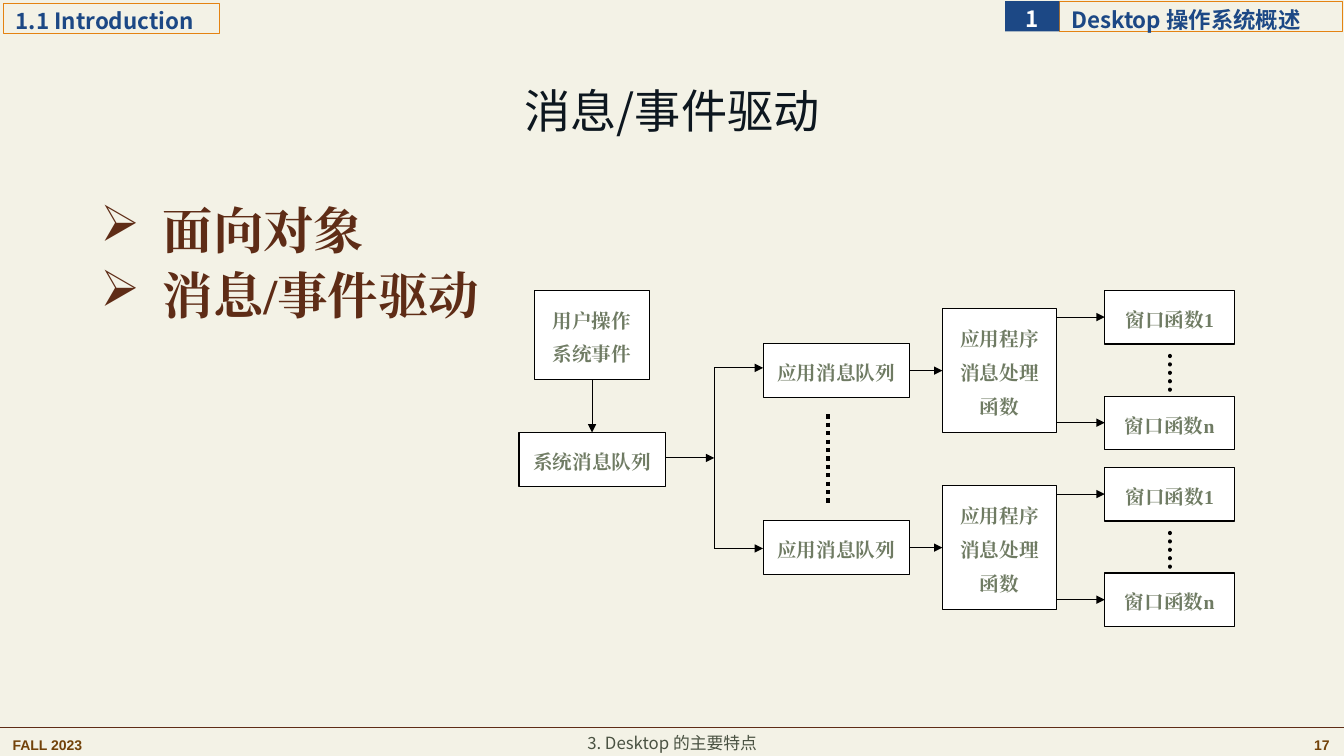
from lxml import etree
from pptx import Presentation
from pptx.dml.color import RGBColor
from pptx.enum.dml import MSO_LINE
from pptx.enum.shapes import MSO_CONNECTOR, MSO_SHAPE
from pptx.enum.text import MSO_ANCHOR, PP_ALIGN
from pptx.oxml.ns import qn
from pptx.util import Cm, Pt

LEFT, CENTER, RIGHT = PP_ALIGN.LEFT, PP_ALIGN.CENTER, PP_ALIGN.RIGHT
TOP, MIDDLE = MSO_ANCHOR.TOP, MSO_ANCHOR.MIDDLE
RECTANGLE, STRAIGHT = MSO_SHAPE.RECTANGLE, MSO_CONNECTOR.STRAIGHT
DOTTED = MSO_LINE.ROUND_DOT
SANS, SERIF, FOOTER_FONT = "Noto Sans CJK SC", "Times New Roman", "Arial"
CREAM, WHITE, BLACK, NAVY = "F3F2E6", "FFFFFF", "000000", "1C4885"
INK, BROWN, RUST = "0D171F", "5E2C16", "724209"
ORANGE, SAGE, OLIVE = "E48312", "6F7B63", "4A5242"
INSETS = (0.25, 0.13, 0.25, 0.13)


def color(value):
    return RGBColor.from_string(value)


class SlideBuilder:
    def __init__(self, presentation):
        self.slide = presentation.slides.add_slide(presentation.slide_layouts[5])
        background = self.slide.background.fill
        background.solid()
        background.fore_color.rgb = color(CREAM)

    def fill_text(self, shape, text, size, font, ink, bold=True, align=CENTER,
                  anchor=MIDDLE, spacing=1.2, gap=3.9, insets=INSETS, wrap=True):
        frame = shape.text_frame
        frame.text = text
        frame.word_wrap = wrap
        frame.vertical_anchor = anchor
        (frame.margin_left, frame.margin_top,
         frame.margin_right, frame.margin_bottom) = map(Cm, insets)
        for index, paragraph in enumerate(frame.paragraphs):
            paragraph.alignment = align
            paragraph.line_spacing = spacing
            paragraph.space_before = Pt(gap if index else 0)
            for run in paragraph.runs:
                run.font.size, run.font.name, run.font.bold = Pt(size), font, bold
                run.font.color.rgb = color(ink)
                east_asian = etree.SubElement(run.font._element, qn("a:ea"))
                east_asian.set("typeface", font)

    def title(self, place, text):
        shape = self.slide.shapes.title
        shape.left, shape.top, shape.width, shape.height = map(Cm, place)
        self.fill_text(shape, text, 33, SANS, INK, bold=False, spacing=0.9)

    def text(self, place, text, size, font, ink, **style):
        shape = self.slide.shapes.add_textbox(*map(Cm, place))
        self.fill_text(shape, text, size, font, ink, **{"anchor": TOP, **style})
        return shape

    def bullets(self, place, text, indent):
        shape = self.text(place, text, 36, SERIF, BROWN, align=LEFT,
                          spacing=0.9, gap=7.5, insets=(0.2, 0.1, 0.2, 0.1))
        for paragraph in shape.text_frame.paragraphs:
            properties = paragraph._p.get_or_add_pPr()
            properties.set("marL", str(Cm(indent)))
            properties.set("indent", str(-Cm(indent)))
            etree.SubElement(properties, qn("a:buChar")).set("char", "➢")

    def rectangle(self, place, text, fill=WHITE, outline=BLACK, size=14,
                  font=SERIF, ink=SAGE, **style):
        shape = self.slide.shapes.add_shape(RECTANGLE, *map(Cm, place))
        shape.shadow.inherit = False
        if fill:
            shape.fill.solid()
            shape.fill.fore_color.rgb = color(fill)
        else:
            shape.fill.background()
        if outline:
            shape.line.color.rgb = color(outline)
            shape.line.width = Pt(0.75)
        else:
            shape.line.fill.background()
        self.fill_text(shape, text, size, font, ink, **style)

    def line(self, start, end, ink=BLACK, width=0.75):
        connector = self.slide.shapes.add_connector(STRAIGHT, *map(Cm, start + end))
        connector.line.color.rgb = color(ink)
        connector.line.width = Pt(width)
        etree.SubElement(connector._element.spPr, qn("a:effectLst"))
        return connector.line

    def arrow(self, start, end):
        outline = self.line(start, end)._get_or_add_ln()
        etree.SubElement(outline, qn("a:tailEnd")).set("type", "triangle")

    def dots(self, start, end, cap="flat"):
        line = self.line(start, end, width=3)
        line.dash_style = DOTTED
        line._get_or_add_ln().set("cap", cap)


def draw_branch(builder, offset):
    """One application queue with its handler and window functions."""
    queue_top, handler_top, window_top = 8.66 + offset, 7.77 + offset, 7.32 + offset
    queue_middle = queue_top + 0.68
    builder.rectangle((19.23, queue_top, 3.69, 1.35), "应用消息队列")
    builder.rectangle((23.75, handler_top, 2.88, 3.12), "应用程序\n消息处理\n函数")
    builder.arrow((22.92, queue_middle), (23.75, queue_middle))
    for label, top in (("窗口函数1", window_top), ("窗口函数n", window_top + 2.66)):
        builder.rectangle((27.84, top, 3.28, 1.35), label)
        builder.arrow((26.63, top + 0.67), (27.84, top + 0.67))
    builder.dots((29.48, window_top + 1.65), (29.48, window_top + 2.54), "rnd")


def main():
    presentation = Presentation()
    presentation.slide_width, presentation.slide_height = Cm(33.87), Cm(19.05)
    builder = SlideBuilder(presentation)

    # Header tabs
    heading = dict(size=16, font=SANS, ink=NAVY, fill=None, outline=ORANGE,
                   align=LEFT, insets=(0.3, 0, 0, 0))
    builder.rectangle((0.1, 0.08, 5.44, 0.76), "1.1 Introduction", **heading)
    builder.rectangle((26.7, 0.04, 7.14, 0.76), "Desktop 操作系统概述", **heading)
    builder.rectangle((25.33, 0.03, 1.37, 0.76), "1", fill=NAVY, outline=None,
                      size=16, font=SANS, ink=WHITE, insets=(0, 0, 0, 0), wrap=False)

    # Title and topics
    builder.title((2.33, 1.02, 29.21, 3.68), "消息/事件驱动")
    builder.bullets((2.33, 5.08, 29.21, 12.1), "面向对象\n消息/事件驱动", 1.57)

    # System events feeding the message bus
    builder.rectangle((13.48, 7.32, 2.88, 2.24), "用户操作\n系统事件")
    builder.rectangle((13.08, 10.9, 3.69, 1.35), "系统消息队列")
    builder.arrow((14.92, 9.56), (14.92, 10.9))
    builder.arrow((16.77, 11.54), (18, 11.54))
    bus_top, bus_bottom = 9.27, 13.82
    builder.line((18, bus_top), (18, bus_bottom))
    for level in (bus_top, bus_bottom):
        builder.arrow((18, level), (19.23, level))

    # Application branches
    for offset in (0, 4.46):
        draw_branch(builder, offset)
    builder.dots((20.87, 10.44), (20.87, 12.67))

    # Footer
    builder.line((0, 18.32), (33.87, 18.32), BROWN, 0.5)
    for text, left, align in (("FALL 2023", 0.07, LEFT), ("17", 26.7, RIGHT)):
        builder.text((left, 18.34, 7.06, 0.79), text, 10, FOOTER_FONT, RUST, align=align)
    builder.text((4.24, 18.24, 25.4, 0.81), "3. Desktop 的主要特点", 12, SANS, OLIVE, bold=False)

    presentation.save("out.pptx")


if __name__ == "__main__":
    main()
